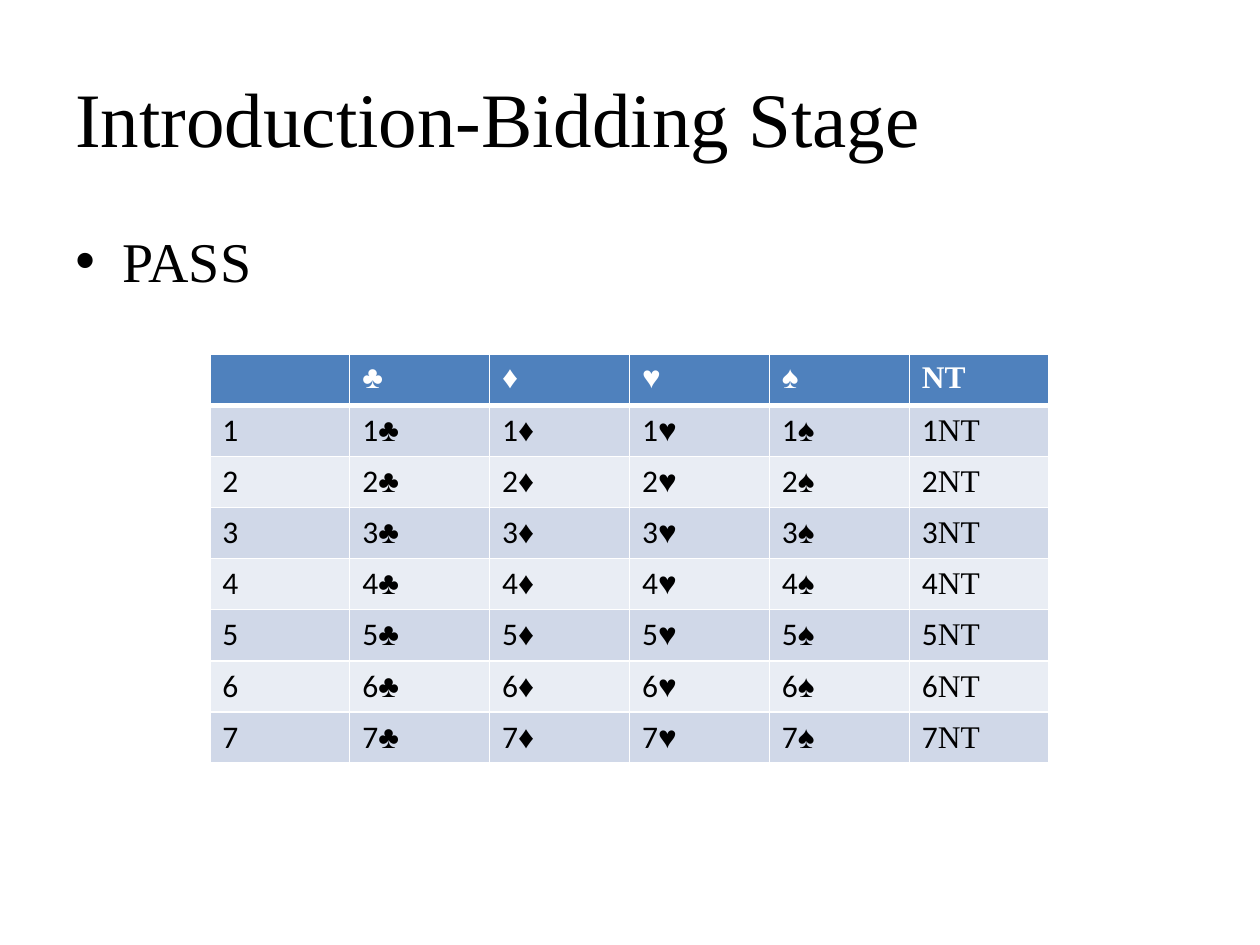
"""Build the bridge bidding stage slide with its table of bids."""
from lxml.etree import SubElement
from pptx import Presentation
from pptx.dml.color import RGBColor
from pptx.enum.text import MSO_ANCHOR
from pptx.oxml.ns import qn
from pptx.util import Cm, Pt

BLACK = RGBColor(0x00, 0x00, 0x00)
WHITE = RGBColor(0xFF, 0xFF, 0xFF)
HEADER_BLUE = RGBColor(0x4F, 0x81, 0xBD)
BAND_DARK = RGBColor(0xD0, 0xD8, 0xE8)
BAND_LIGHT = RGBColor(0xE9, 0xED, 0xF4)

SERIF = "Times New Roman"
SANS = "Calibri"
FORMATS = {
    "title": {"name": SERIF, "size": Pt(44), "color": BLACK},
    "body": {"name": SERIF, "size": Pt(32), "color": BLACK},
    "header": {"name": SERIF, "size": Pt(18), "bold": True, "color": WHITE},
    "level": {"name": SANS, "size": Pt(18), "bold": False, "color": BLACK},
    "suit": {"name": SERIF, "size": Pt(18), "bold": False, "color": BLACK},
}
SUITS = ["♣", "♦", "♥", "♠", "NT"]
LEVELS = range(1, 8)


def add_run(paragraph, text, format_name):
    run = paragraph.add_run()
    run.text = text
    for attribute, value in FORMATS[format_name].items():
        if attribute == "color":
            run.font.color.rgb = value
        else:
            setattr(run.font, attribute, value)


def set_borders(cell, widths):
    properties = cell._tc.get_or_add_tcPr()
    for side, width in widths.items():
        line = SubElement(properties, qn(f"a:ln{side}"), w=str(Pt(width)))
        fill = SubElement(line, qn("a:solidFill"))
        SubElement(fill, qn("a:srgbClr"), val=str(WHITE))


presentation = Presentation()
presentation.slide_width = Cm(25.4)
presentation.slide_height = Cm(19.05)
slide = presentation.slides.add_slide(presentation.slide_layouts[6])

text_boxes = [
    ("title", "Introduction-Bidding Stage", 0.76, 3.18, MSO_ANCHOR.MIDDLE),
    ("body", "PASS", 4.45, 12.57, MSO_ANCHOR.TOP),
]
for format_name, text, top, height, anchor in text_boxes:
    shape = slide.shapes.add_textbox(Cm(1.27), Cm(top), Cm(22.86), Cm(height))
    shape.text_frame.word_wrap = True
    shape.text_frame.vertical_anchor = anchor
    paragraph = shape.text_frame.paragraphs[0]
    if format_name == "body":
        properties = paragraph._p.get_or_add_pPr()
        properties.set("marL", str(Cm(0.95)))
        properties.set("indent", str(-Cm(0.95)))
        SubElement(properties, qn("a:buFont"), typeface="Arial")
        SubElement(properties, qn("a:buChar"), char="•")
    add_run(paragraph, text, format_name)

row_count, column_count = len(LEVELS) + 1, len(SUITS) + 1
table = slide.shapes.add_table(
    row_count, column_count, Cm(4.23), Cm(7.14), Cm(16.93), Cm(8.24)
).table
for column in table.columns:
    column.width = Cm(2.82)
for row in table.rows:
    row.height = Cm(1.03)

for row_index in range(row_count):
    for column_index, suit in enumerate([""] + SUITS):
        cell = table.cell(row_index, column_index)
        top_width = 3 if row_index == 1 else 1
        bottom_width = 3 if row_index == 0 else 1
        set_borders(cell, {"L": 1, "R": 1, "T": top_width, "B": bottom_width})
        cell.fill.solid()
        paragraph = cell.text_frame.paragraphs[0]
        if row_index == 0:
            cell.fill.fore_color.rgb = HEADER_BLUE
            if suit:
                add_run(paragraph, suit, "header")
        else:
            cell.fill.fore_color.rgb = BAND_DARK if row_index % 2 else BAND_LIGHT
            add_run(paragraph, str(row_index), "level")
            if suit:
                add_run(paragraph, suit, "suit")

presentation.save("out.pptx")
